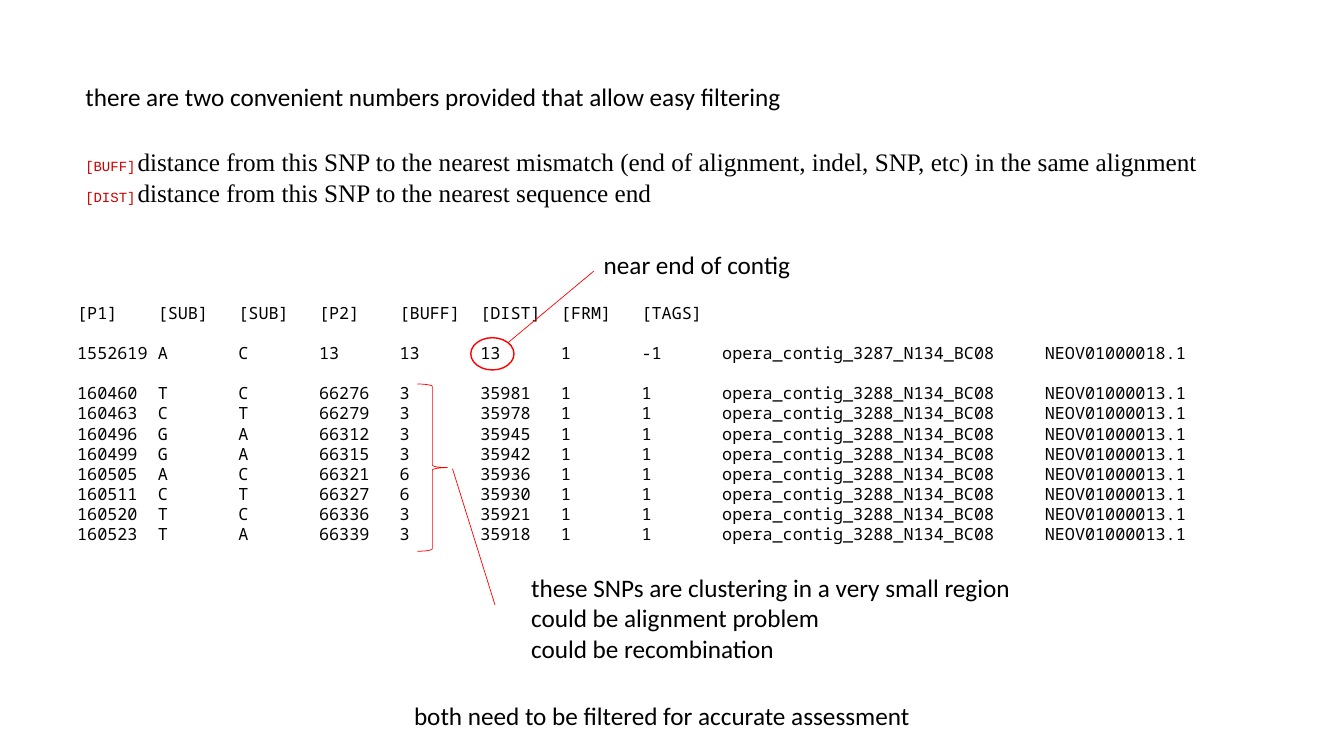
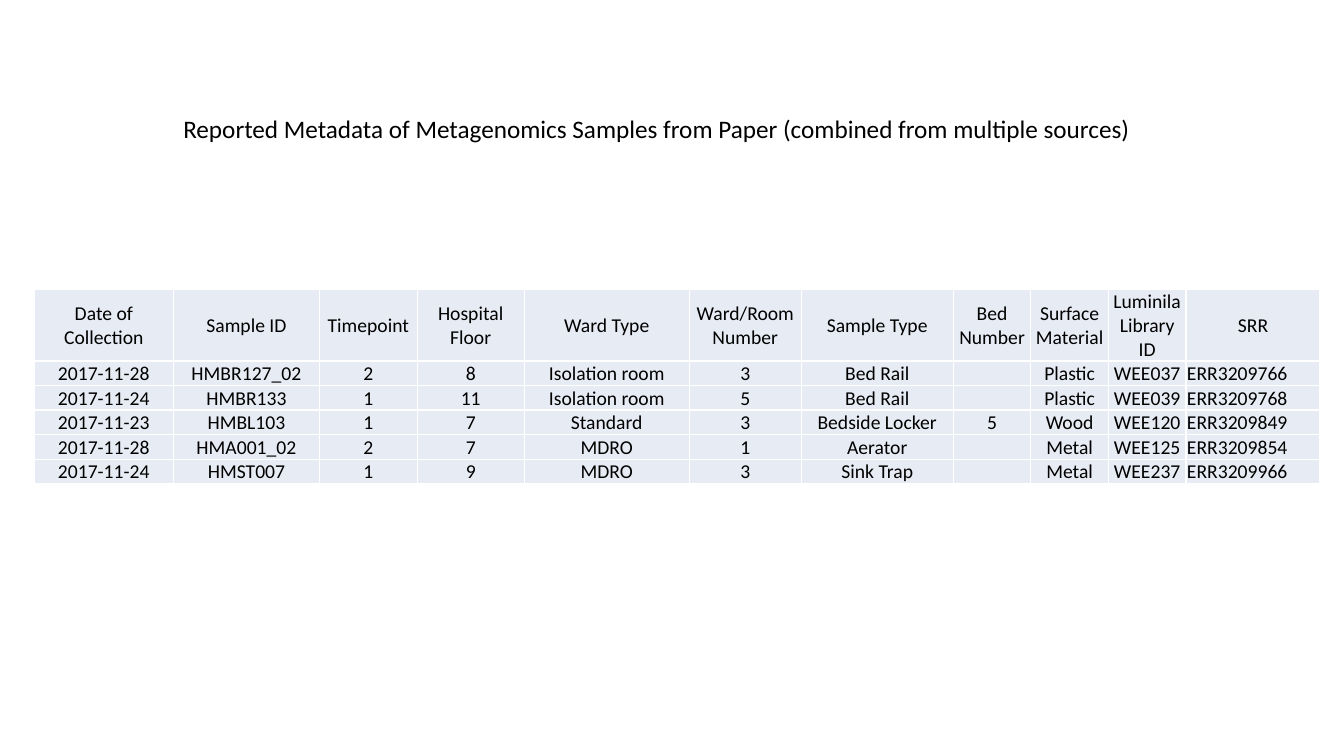
from lxml import etree
from pptx import Presentation
from pptx import util as u
from pptx.dml.color import RGBColor
from pptx.enum import shapes, text
from pptx.oxml import ns

# Shared format: lengths are percent of the slide's width and height
WIDE, HIGH = u.Inches(13.333), u.Inches(7.5)
BLACK, WHITE, RED, CODE, PALE = "000000", "FFFFFF", "FF0000", "CC0000", "E7EBF3"
BODY = {"name": "Calibri", "size": u.Pt(18)}
MONO = {"name": "Noto Sans Mono", "size": u.Pt(12)}
KEY = {"name": "Courier New", "size": u.Pt(10)}
GAP = {"name": "Times New Roman", "size": u.Pt(6)}
PROSE = {"name": "Times New Roman", "size": u.Pt(18)}
CELL = {"name": "Calibri", "size": u.Pt(14)}
LINE = 5.33
TAB = u.Inches(0.8)

TERMS = [
    ("[BUFF]", "distance from this SNP to the nearest mismatch "
     "(end of alignment, indel, SNP, etc) in the same alignment"),
    ("[DIST]", "distance from this SNP to the nearest sequence end"),
]
HEADS = "[P1] [SUB] [SUB] [P2] [BUFF] [DIST] [FRM] [TAGS]"
ENDING = "1552619 A C 13 13 13 1 -1 opera_contig_3287_N134_BC08 NEOV01000018.1"
CLUSTER = [
    "160460 T C 66276 3 35981", "160463 C T 66279 3 35978",
    "160496 G A 66312 3 35945", "160499 G A 66315 3 35942",
    "160505 A C 66321 6 35936", "160511 C T 66327 6 35930",
    "160520 T C 66336 3 35921", "160523 T A 66339 3 35918",
]
SHARED = " 1 1 opera_contig_3288_N134_BC08 NEOV01000013.1"

FIELDS = ["Date of Collection", "Sample ID", "Timepoint", "Hospital Floor",
          "Ward Type", "Ward/Room Number", "Sample Type", "Bed Number",
          "Surface Material", "Luminila Library ID", "SRR"]
SAMPLES = [
    ["2017-11-28", "HMBR127_02", "2", "8", "Isolation room", "3",
     "Bed Rail", "", "Plastic", "WEE037", "ERR3209766"],
    ["2017-11-24", "HMBR133", "1", "11", "Isolation room", "5",
     "Bed Rail", "", "Plastic", "WEE039", "ERR3209768"],
    ["2017-11-23", "HMBL103", "1", "7", "Standard", "3",
     "Bedside Locker", "5", "Wood", "WEE120", "ERR3209849"],
    ["2017-11-28", "HMA001_02", "2", "7", "MDRO", "1",
     "Aerator", "", "Metal", "WEE125", "ERR3209854"],
    ["2017-11-24", "HMST007", "1", "9", "MDRO", "3",
     "Sink Trap", "", "Metal", "WEE237", "ERR3209966"],
]
WIDTHS = [10.35, 10.88, 7.27, 7.95, 12.3, 8.32, 11.32, 5.77, 5.77, 5.77, 9.98]
HEIGHTS = [7.73] + [2.8] * len(SAMPLES)


def tint(code):
    return RGBColor.from_string(code)


def across(share):
    return round(WIDE * share / 100)


def down(share):
    return round(HIGH * share / 100)


def place(x, y, w, h):
    return across(x), down(y), across(w), down(h)


def apply(item, form):
    for key, value in form.items():
        setattr(item, key, value)


def write(para, words, form, color=BLACK):
    run = para.add_run()
    run.text = words
    apply(run.font, form)
    run.font.color.rgb = tint(color)


def paras(frame, count):
    """Yield the first paragraph of a frame, then new ones."""
    for i in range(count):
        yield frame.add_paragraph() if i else frame.paragraphs[0]


# Text boxes
def note(slide, spot, *lines):
    frame = slide.shapes.add_textbox(*place(*spot)).text_frame
    apply(frame, {"word_wrap": True, "margin_right": 0})
    for para, words in zip(paras(frame, len(lines)), lines):
        write(para, words, BODY)


def terms(slide, spot):
    shape = slide.shapes.add_shape(shapes.MSO_SHAPE.RECTANGLE, *place(*spot))
    shape.shadow.inherit = False
    shape.fill.solid()
    shape.fill.fore_color.rgb = tint(WHITE)
    shape.line.fill.background()
    frame = shape.text_frame
    apply(frame, {"word_wrap": True, "margin_left": u.Inches(0.18),
                  "margin_right": 0,
                  "vertical_anchor": text.MSO_ANCHOR.MIDDLE})
    for para, (key, words) in zip(paras(frame, len(TERMS)), TERMS):
        para.alignment = text.PP_ALIGN.LEFT
        write(para, key, KEY, CODE)
        write(para, " ", GAP)
        write(para, words, PROSE)


def listing(slide, spot):
    frame = slide.shapes.add_textbox(*place(*spot)).text_frame
    frame.word_wrap = True
    rows = [HEADS, ENDING] + [row + SHARED for row in CLUSTER]
    for i, (para, row) in enumerate(zip(paras(frame, len(rows)), rows)):
        stops = etree.SubElement(para._p.get_or_add_pPr(), ns.qn("a:tabLst"))
        for step in [*range(1, 9), 12]:
            etree.SubElement(stops, ns.qn("a:tab"), pos=str(step * TAB), algn="l")
        if i in (1, 2):
            para.space_before = u.Pt(14.4)
        write(para, row.replace(" ", "\t"), MONO)


# Marks
def mark(slide, kind, spot, weight):
    shape = slide.shapes.add_shape(kind, *place(*spot))
    shape.shadow.inherit = False
    shape.fill.background()
    shape.line.color.rgb = tint(RED)
    shape.line.width = u.Pt(weight)


def link(slide, x1, y1, x2, y2):
    line = slide.shapes.add_connector(
        shapes.MSO_CONNECTOR.STRAIGHT, across(x1), down(y1), across(x2), down(y2))
    line.line.color.rgb = tint(RED)
    line.line.width = u.Pt(0.5)
    etree.SubElement(line._element.spPr, ns.qn("a:effectLst"))


# Table
def border(cell):
    props = cell._tc.get_or_add_tcPr()
    for i, side in enumerate(("lnL", "lnR", "lnT", "lnB")):
        edge = etree.Element(ns.qn("a:" + side), w=str(u.Pt(1)))
        fill = etree.SubElement(edge, ns.qn("a:solidFill"))
        etree.SubElement(fill, ns.qn("a:srgbClr"), val=WHITE)
        props.insert(i, edge)


def fill(cell, words, middle, left):
    thin = u.Inches(0.01)
    anchor = text.MSO_ANCHOR.MIDDLE if middle else text.MSO_ANCHOR.BOTTOM
    apply(cell, {"margin_left": thin, "margin_right": thin, "margin_top": thin,
                 "margin_bottom": 0, "vertical_anchor": anchor})
    cell.fill.solid()
    cell.fill.fore_color.rgb = tint(PALE)
    border(cell)
    para = cell.text_frame.paragraphs[0]
    para.alignment = text.PP_ALIGN.LEFT if left else text.PP_ALIGN.CENTER
    if words:
        write(para, words, CELL)
    else:
        size = str(round(CELL["size"].pt * 100))
        etree.SubElement(para._p, ns.qn("a:endParaRPr"), sz=size)


def grid(slide, x, y):
    rows = [FIELDS] + SAMPLES
    spot = place(x, y, sum(WIDTHS), sum(HEIGHTS))
    table = slide.shapes.add_table(len(rows), len(FIELDS), *spot).table
    apply(table, {"first_row": False, "horz_banding": False})
    for col, share in zip(table.columns, WIDTHS):
        col.width = across(share)
    for row, share in zip(table.rows, HEIGHTS):
        row.height = down(share)
    library, code = len(FIELDS) - 2, len(FIELDS) - 1
    for r, row in enumerate(rows):
        for c, words in enumerate(row):
            fill(table.cell(r, c), words, r == 0 or c == library,
                 r > 0 and c == code)


# Slides
def filters(slide):
    terms(slide, (5, 18.67, 85, 9.47))
    listing(slide, (5, 39.33, 88.9, 33.6))
    note(slide, (5.62, 10.13, 53.92, LINE),
         "there are two convenient numbers provided that allow easy filtering")
    mark(slide, shapes.MSO_SHAPE.OVAL, (35.03, 44.67, 3.22, 4.27), 1)
    link(slide, 37.8, 45.33, 44.18, 35.87)
    note(slide, (44.18, 32.27, 15.6, LINE), "near end of contig")
    mark(slide, shapes.MSO_SHAPE.RIGHT_BRACE, (31.05, 50.8, 2.25, 22.13), 0.5)
    link(slide, 33.67, 62, 36.83, 80)
    note(slide, (38.78, 75.07, 37.58, 13.47),
         "these SNPs are clustering in a very small region",
         "could be alignment problem", "could be recombination")
    note(slide, (30.07, 92, 38.85, LINE),
         "both need to be filtered for accurate assessment")


def metadata(slide):
    note(slide, (12.9, 14.27, 72.83, LINE),
         "Reported Metadata of Metagenomics Samples from Paper "
         "(combined from multiple sources)")
    grid(slide, 2.55, 38.27)


def main():
    deck = Presentation()
    apply(deck, {"slide_width": WIDE, "slide_height": HIGH})
    for build in (filters, metadata):
        build(deck.slides.add_slide(deck.slide_layouts[6]))
    deck.save("out.pptx")


if __name__ == "__main__":
    main()
